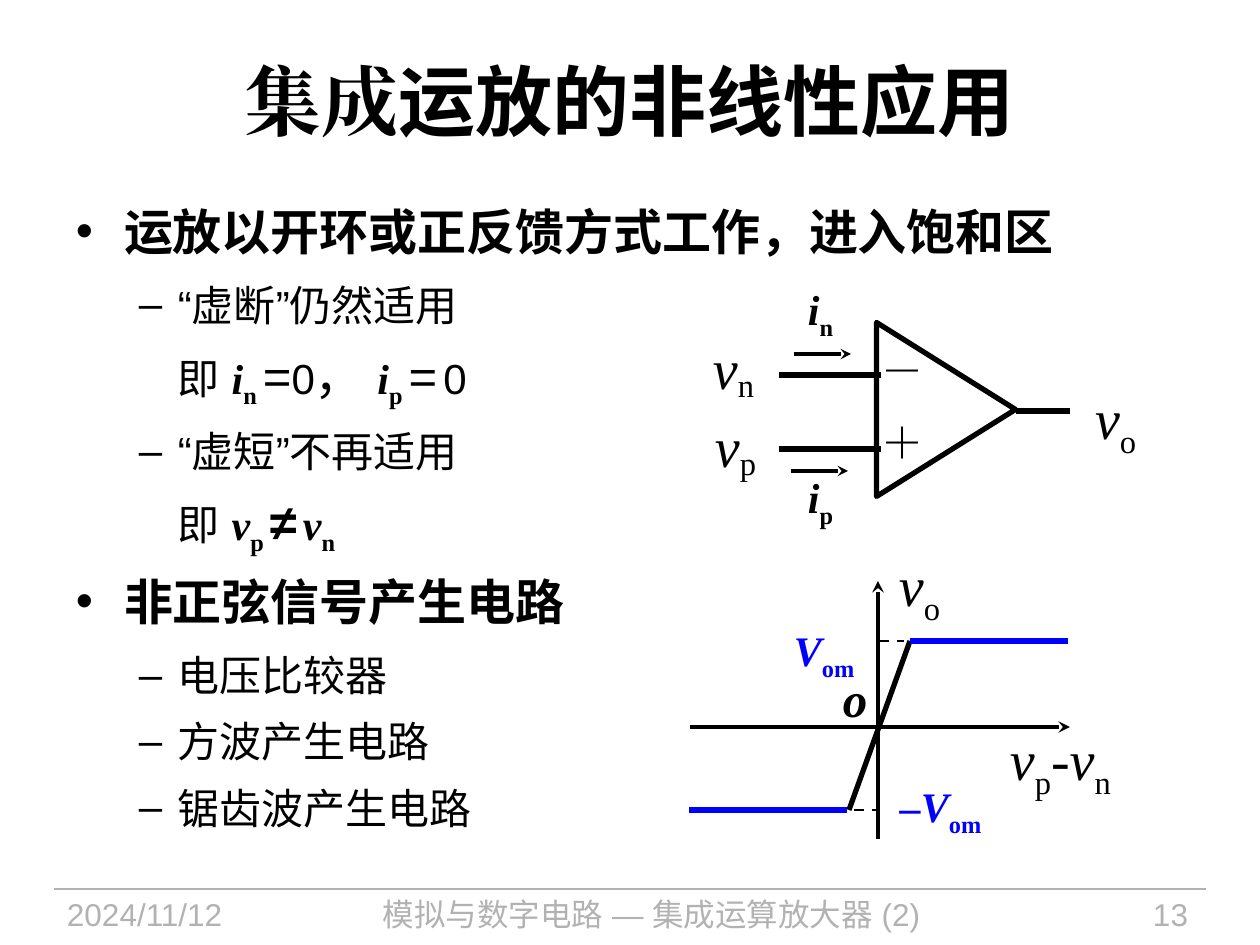
from dataclasses import dataclass

from lxml.etree import SubElement
from pptx import Presentation
from pptx.dml.color import RGBColor as Rgb
from pptx.enum.dml import MSO_LINE_DASH_STYLE as Dash
from pptx.enum.shapes import MSO_CONNECTOR as Conn, MSO_SHAPE as Shape
from pptx.enum.text import MSO_ANCHOR as Anchor, MSO_AUTO_SIZE as Auto, PP_ALIGN as Align
from pptx.oxml.ns import qn
from pptx.util import Emu, Pt


@dataclass(frozen=True)
class Theme:
    ink: str = "000000"
    blue: str = "0000FF"
    grey: str = "B2B2B2"
    sans: str = "Arial"
    serif: str = "Times New Roman"
    title: int = 44
    symbol: int = 32
    head: int = 28
    body: int = 24
    footer: int = 18


T = Theme()
INSET = (13, 6)


def px(n):
    return Emu(round(n * 914400 / 126))


def run(text, size=T.body, font=T.sans, color=T.ink, bold=False, italic=False, base=0):
    return text, size, font, color, bold, italic, base


def var(name, sub="", size=T.body, bold=True, color=T.ink, base=-25):
    style = dict(size=size, font=T.serif, color=color, bold=bold)
    runs = [run(name, italic=True, **style)]
    if sub:
        runs.append(run(sub, base=base, **style))
    return runs


def add_runs(p, runs):
    for text, size, font, color, bold, italic, base in runs:
        r = p.add_run()
        r.text = text
        f = r.font
        f.size, f.name, f.bold, f.italic = Pt(size), font, bold, italic
        f.color.rgb = Rgb.from_string(color)
        rPr = r._r.get_or_add_rPr()
        SubElement(rPr, qn("a:ea")).set("typeface", font)
        if base:
            rPr.set("baseline", str(base * 1000))


def add_text(s, x, y, w, h, runs, align=Align.LEFT, anchor=Anchor.TOP,
             inset=INSET, wrap=True, grow=False, spacing=None):
    sp = s.shapes.add_textbox(px(x), px(y), px(w), px(h))
    tf = sp.text_frame
    tf.word_wrap = wrap
    tf.auto_size = Auto.SHAPE_TO_FIT_TEXT if grow else Auto.NONE
    tf.vertical_anchor = anchor
    tf.margin_left = tf.margin_right = px(inset[0])
    tf.margin_top = tf.margin_bottom = px(inset[1])
    p = tf.paragraphs[0]
    p.alignment = align
    if spacing:
        p.line_spacing = spacing
    add_runs(p, runs)
    return tf


def add_line(s, x1, y1, x2, y2, width=3, color=T.ink, dash=False, arrow=False):
    line = s.shapes.add_connector(Conn.STRAIGHT, px(x1), px(y1), px(x2), px(y2))
    line.line.width = Pt(width)
    line.line.color.rgb = Rgb.from_string(color)
    if dash:
        line.line.dash_style = Dash.DASH
    if arrow:
        SubElement(line.line._get_or_add_ln(), qn("a:tailEnd")).set("type", "stealth")
    SubElement(line._element.spPr, qn("a:effectLst"))


def add_footer(s, x, y, w, h):
    add_line(s, x, y, x + w, y, 0.75, T.grey)
    parts = [
        (0, 237, "2024/11/12", Align.LEFT),
        (260, 675, "模拟与数字电路 — 集成运算放大器 (2)", Align.CENTER),
        (979, 168, "13", Align.RIGHT),
    ]
    for dx, width, text, align in parts:
        add_text(s, x + dx, y, width, h, [run(text, T.footer, color=T.grey)], align)


def add_title(s, x, y, w, h):
    runs = [run("集成", T.title, T.serif, bold=True),
            run("运放的非线性应用", T.title, bold=True)]
    add_text(s, x, y, w, h, runs, Align.CENTER, Anchor.MIDDLE)


def add_body(s, x, y, w, h):
    def head(text):
        return "•", [run(text, T.head, bold=True)]

    def item(text):
        return "–", [run(text)]

    no_current = [run("即 "), *var("i", "n "), run("=", T.head), run("0"),
                  run("， ", T.head), *var("i", "p "), run("=", T.head),
                  run(" ", font=T.serif, bold=True, base=-25), run("0")]
    not_equal = [run("即 "), *var("v", "p "), run("≠", T.head, bold=True),
                 run(" ", font=T.serif, bold=True, base=-25), *var("v", "n")]
    lines = [
        head("运放以开环或正反馈方式工作，进入饱和区"),
        item("“虚断”仍然适用"),
        ("", no_current),
        item("“虚短”不再适用"),
        ("", not_equal),
        head("非正弦信号产生电路"),
        item("电压比较器"),
        item("方波产生电路"),
        item("锯齿波产生电路"),
    ]
    tf = add_text(s, x, y, w, h, [])
    for i, (bullet, runs) in enumerate(lines):
        p = tf.add_paragraph() if i else tf.paragraphs[0]
        is_head = bullet == "•"
        p.level = 0 if is_head else 1
        p.space_after = Pt(11 if is_head else 9)
        left, hang = (48, 48) if is_head else (102, 39)
        pPr = p._p.get_or_add_pPr()
        pPr.set("marL", str(px(left)))
        pPr.set("indent", str(-px(hang) if bullet else 0))
        if bullet:
            SubElement(pPr, qn("a:buFont")).set("typeface", T.sans)
            SubElement(pPr, qn("a:buChar")).set("char", bullet)
        else:
            SubElement(pPr, qn("a:buNone"))
        add_runs(p, runs)


def add_amplifier(s, x, y):
    for dx, dy, name, base in [(23, 49, "n", -15), (25, 127, "p", -15), (405, 98, "o", -25)]:
        add_text(s, x + dx, y + dy, 43, 81, var("v", name, T.symbol, False, base=base),
                 inset=(0, 0), wrap=False, grow=True, spacing=1.2)
    for dy, sign in [(140, "＋"), (68, "－")]:
        add_text(s, x + 162, y + dy, 101, 63, [run(sign, font=T.serif, bold=True)],
                 Align.CENTER, Anchor.MIDDLE, (0, 0), wrap=False)
    for x1, x2, dy in [(89, 191, 105), (89, 191, 179), (326, 380, 141)]:
        add_line(s, x + x1, y + dy, x + x2, y + dy)
    tri = s.shapes.add_shape(Shape.ISOSCELES_TRIANGLE, px(x + 169), px(y + 70), px(174), px(139))
    tri.rotation = 90
    tri.shadow.inherit = False
    tri.fill.background()
    tri.line.width = Pt(3)
    tri.line.color.rgb = Rgb.from_string(T.ink)
    for name, text_y, arrow_x, arrow_y in [("n", 8, 104, 84), ("p", 196, 101, 201)]:
        add_text(s, x + 105, y + text_y, 73, 63, var("i", name), grow=True)
        add_line(s, x + arrow_x, y + arrow_y, x + arrow_x + 57, y + arrow_y, 2, arrow=True)


def add_transfer_curve(s, x, y):
    add_line(s, x + 198, y + 289, x + 198, y + 31, 2.25, arrow=True)
    add_line(s, x + 10, y + 177, x + 390, y + 177, 2.25, arrow=True)
    add_line(s, x + 230, y + 91, x + 169, y + 260)
    for level, dash_x, sat_x in [(91, 199, 230), (260, 174, 9)]:
        add_line(s, x + dash_x, y + level, x + dash_x + 25, y + level, 1.5, dash=True)
        add_line(s, x + sat_x, y + level, x + sat_x + 158, y + level, color=T.blue)
    difference = [*var("v", "p", T.symbol, False), run("-", T.symbol, T.serif),
                  *var("v", "n", T.symbol, False)]
    add_text(s, x + 317, y + 146, 158, 100, difference, grow=True, spacing=1.3)
    add_text(s, x + 206, y + 2, 91, 67, var("v", "o", T.symbol, False), grow=True, spacing=0.8)
    labels = [
        (101, 69, 91, 63, var("V", "om", color=T.blue)),
        (207, 225, 112, 63, var("–V", "om", color=T.blue)),
        (150, 112, 50, 72, var("o", size=T.head)),
    ]
    for dx, dy, w, h, runs in labels:
        add_text(s, x + dx, y + dy, w, h, runs, wrap=False, grow=True)


def main():
    prs = Presentation()
    prs.slide_width, prs.slide_height = px(1260), px(945)
    s = prs.slides.add_slide(prs.slide_layouts[6])
    add_footer(s, 54, 889, 1152, 55)
    add_title(s, 63, 21, 1134, 158)
    add_body(s, 63, 195, 1143, 684)
    add_transfer_curve(s, 680, 550)
    add_amplifier(s, 690, 270)
    prs.save("out.pptx")


if __name__ == "__main__":
    main()
